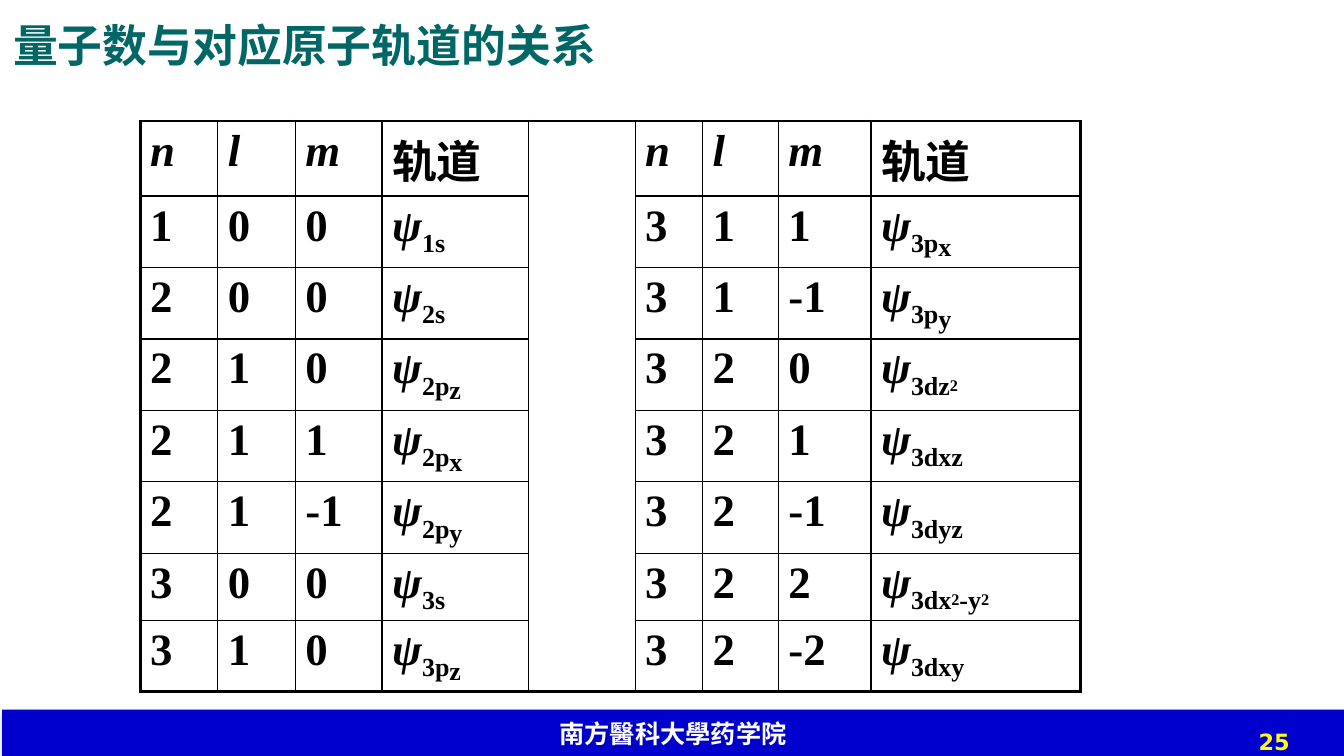
"""Builds the slide relating quantum numbers to atomic orbitals."""
from lxml import etree
from pptx import Presentation
from pptx import util as u
from pptx.dml.color import RGBColor
from pptx.enum import shapes, text
from pptx.oxml import ns

PX = 9144
SERIF = "Times New Roman"
HAN = "Noto Sans CJK SC"
COLUMNS = [77, 77, 86, 145, 106, 67, 75, 92, 208]
ROWS = [56, 59, 52, 66, 56, 56, 60, 56]
GAP_COLUMN = 4
HEADER = ["n", "l", "m", "轨道"]
LEFT = [
    ("1", "0", "0", "1s"),
    ("2", "0", "0", "2s"),
    ("2", "1", "0", "2p _z"),
    ("2", "1", "1", "2p _x"),
    ("2", "1", "-1", "2p _y"),
    ("3", "0", "0", "3s"),
    ("3", "1", "0", "3p _z"),
]
RIGHT = [
    ("3", "1", "1", "3p _x"),
    ("3", "1", "-1", "3p _y"),
    ("3", "2", "0", "3dz ^2"),
    ("3", "2", "1", "3dxz"),
    ("3", "2", "-1", "3dyz"),
    ("3", "2", "2", "3dx ^2 -y ^2"),
    ("3", "2", "-2", "3dxy"),
]


def px(*lengths):
    """Turns px lengths into EMU."""
    return [u.Emu(n * PX) for n in lengths]


def rgb(value):
    """Gives the colour of a hex string."""
    return RGBColor.from_string(value)


def child(parent, tag, **attributes):
    """Appends a drawing element."""
    return etree.SubElement(parent, ns.qn("a:" + tag), attributes)


def add_run(p, words, size, font, colour, italic=False, base=0):
    """Adds one bold run, raised or lowered by base percent."""
    r = p.add_run()
    r.text = words
    r.font.size = u.Pt(size)
    r.font.name = font
    r.font.bold = True
    r.font.italic = italic
    r.font.color.rgb = rgb(colour)
    if base:
        r.font._element.set("baseline", str(base * 1000))
    return r


def set_text(s, words, size, font, colour, align, anchor):
    """Writes a single line into a shape."""
    tf = s.text_frame
    tf.word_wrap = True
    tf.auto_size = text.MSO_AUTO_SIZE.NONE
    tf.vertical_anchor = anchor
    p = tf.paragraphs[0]
    p.alignment = align
    return add_run(p, words, size, font, colour)


def add_title(s):
    """Places and fills the title placeholder."""
    sp = s.shapes.title
    sp.left, sp.top, sp.width, sp.height = px(3, 13, 850, 63)
    set_text(sp, "量子数与对应原子轨道的关系", 32, "Arial", "006666",
             text.PP_ALIGN.LEFT, text.MSO_ANCHOR.BOTTOM)


def add_footer(s):
    """Adds the school band and the page number."""
    band = s.shapes.add_shape(shapes.MSO_SHAPE.RECTANGLE, *px(2, 704, 1331, 47))
    band.fill.solid()
    band.fill.fore_color.rgb = rgb("0000CC")
    band.line.fill.background()
    band.shadow.inherit = False
    effects = band._element.spPr.find(ns.qn("a:effectLst"))
    shadow = child(effects, "outerShdw", blurRad=str(u.Pt(3.5)),
                   dist=str(u.Pt(2.2)), dir="5400000", rotWithShape="0")
    child(child(shadow, "srgbClr", val="000000"), "alpha", val="32000")
    r = set_text(band, "南方醫科大學药学院", 18, HAN, "FFFFFF",
                 text.PP_ALIGN.CENTER, text.MSO_ANCHOR.MIDDLE)
    child(r.font._element, "ea", typeface=HAN)
    page = s.shapes.add_textbox(*px(978, 704, 311, 50))
    set_text(page, "25", 16, "DejaVu Sans", "FFFF00",
             text.PP_ALIGN.RIGHT, text.MSO_ANCHOR.BOTTOM)


def set_borders(cell, row, column):
    """Draws thick lines on the table's outer edges and thin ones inside."""
    edges = {
        "lnL": column == 0,
        "lnR": column == len(COLUMNS) - 1,
        "lnT": row == 0,
        "lnB": row + cell.span_height == len(ROWS),
    }
    tcPr = cell._tc.get_or_add_tcPr()
    for tag, outer in edges.items():
        line = child(tcPr, tag, w=str(u.Pt(2.25 if outer else 1)))
        child(child(line, "solidFill"), "srgbClr", val="000000")
    cell.fill.background()


def write_orbital(p, subscript):
    """Writes psi with its subscript; _ lowers a part, ^ shrinks it."""
    add_run(p, "ψ", 32, SERIF, "000000", italic=True)
    for part in subscript.split():
        add_run(p, part.lstrip("_^"), 20 if part[0] == "^" else 32, SERIF,
                "000000", base=-35 if part[0] == "_" else -25)


def fill_cell(cell, words, header, orbital):
    """Writes a heading, a quantum number or an orbital."""
    p = cell.text_frame.paragraphs[0]
    child(child(p._p.get_or_add_pPr(), "spcBef"), "spcPct", val="20000")
    if orbital and not header:
        write_orbital(p, words)
    else:
        add_run(p, words, 32, SERIF, "000000", italic=header and not orbital)


def add_orbital_table(s):
    """Adds the two blocks of quantum numbers with a merged gap between."""
    frame = s.shapes.add_table(len(ROWS), len(COLUMNS), *px(139, 120, 933, 509))
    table = frame.table
    table.first_row = table.horz_banding = False
    for column, width in zip(table.columns, px(*COLUMNS)):
        column.width = width
    for row, height in zip(table.rows, px(*ROWS)):
        row.height = height
    frame.height = px(509)[0]
    table.cell(0, GAP_COLUMN).merge(table.cell(len(ROWS) - 1, GAP_COLUMN))
    set_borders(table.cell(0, GAP_COLUMN), 0, GAP_COLUMN)
    for start, block in ((0, LEFT), (GAP_COLUMN + 1, RIGHT)):
        for i, values in enumerate([HEADER, *block]):
            for j, words in enumerate(values):
                cell = table.cell(i, start + j)
                set_borders(cell, i, start + j)
                fill_cell(cell, words, i == 0, j == len(HEADER) - 1)


def main():
    """Builds and saves the slide."""
    prs = Presentation()
    prs.slide_width, prs.slide_height = px(1333, 750)
    s = prs.slides.add_slide(prs.slide_layouts[5])
    add_footer(s)
    add_title(s)
    add_orbital_table(s)
    prs.save("out.pptx")


if __name__ == "__main__":
    main()
